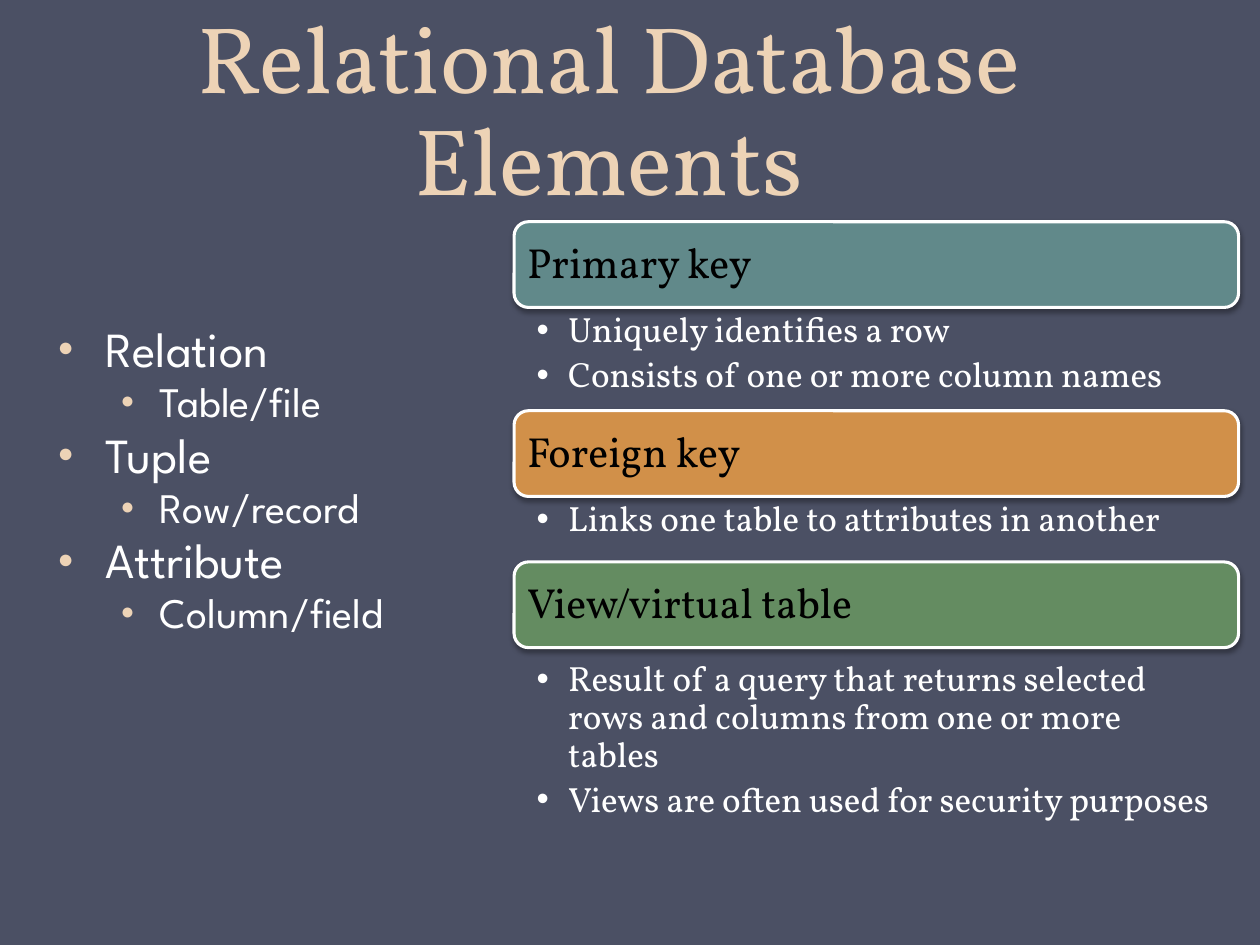
from lxml import etree
from pptx import Presentation
from pptx.dml.color import RGBColor
from pptx.enum.shapes import MSO_SHAPE
from pptx.enum.text import MSO_ANCHOR, PP_ALIGN
from pptx.oxml import parse_xml
from pptx.oxml.ns import nsdecls, qn
from pptx.util import Inches, Pt

ROUNDED = MSO_SHAPE.ROUNDED_RECTANGLE
TOP, MIDDLE, BOTTOM = MSO_ANCHOR.TOP, MSO_ANCHOR.MIDDLE, MSO_ANCHOR.BOTTOM
LEFT, CENTER = PP_ALIGN.LEFT, PP_ALIGN.CENTER

SLATE = RGBColor(0x4B, 0x50, 0x64)
SAND = RGBColor(0xED, 0xD3, 0xB6)
WHITE = RGBColor(0xFF, 0xFF, 0xFF)
BLACK = RGBColor(0x00, 0x00, 0x00)
TEAL = RGBColor(0x61, 0x89, 0x8A)
ORANGE = RGBColor(0xD1, 0x90, 0x49)
GREEN = RGBColor(0x64, 0x8C, 0x61)

SERIF = "Vollkorn"
SANS = "League Spartan"

TERMS = [
    ("Relation", "Table/file"),
    ("Tuple", "Row/record"),
    ("Attribute", "Column/field"),
]
KEYS = [
    ("Primary key", TEAL, 1.76, 2.45, 0.81,
     ["Uniquely identifies a row", "Consists of one or more column names"]),
    ("Foreign key", ORANGE, 3.26, 3.95, 0.81,
     ["Links one table to attributes in another"]),
    ("View/virtual table", GREEN, 4.46, 5.22, 1.83,
     ["Result of a query that returns selected rows and columns from one or more tables",
      "Views are often used for security purposes"]),
]


def set_frame(frame, anchor, margins):
    """Wrap a text frame, anchor it and set its four margins in inches."""
    frame.word_wrap = True
    frame.vertical_anchor = anchor
    (frame.margin_left, frame.margin_top,
     frame.margin_right, frame.margin_bottom) = map(Inches, margins)


def add_frame(slide, left, top, width, height, anchor, margins):
    """Add a text box and return its frame."""
    box = slide.shapes.add_textbox(*map(Inches, (left, top, width, height)))
    set_frame(box.text_frame, anchor, margins)
    return box.text_frame


def add_line(frame, index, text, font, size, color, align=LEFT):
    """Write one paragraph of a single run."""
    line = frame.paragraphs[0] if index == 0 else frame.add_paragraph()
    line.alignment = align
    run = line.add_run()
    run.text = text
    run.font.name = font
    run.font.size = Pt(size)
    run.font.color.rgb = color
    return line


def add_bullet(line, char, indent, hanging, color, percent):
    """Give a paragraph a hanging bullet."""
    properties = line._p.get_or_add_pPr()
    properties.set("marL", str(Inches(indent)))
    properties.set("indent", str(-Inches(hanging)))
    bullet_color = etree.SubElement(properties, qn("a:buClr"))
    etree.SubElement(bullet_color, qn("a:srgbClr"), val=str(color))
    etree.SubElement(properties, qn("a:buSzPct"), val=str(percent * 1000))
    etree.SubElement(properties, qn("a:buFont"), typeface="Arial")
    etree.SubElement(properties, qn("a:buChar"), char=char)


def add_title(slide, left, top, width, height):
    """Place the centred heading."""
    frame = add_frame(slide, left, top, width, height, BOTTOM, (0.1, 0.05, 0.1, 0.05))
    line = add_line(frame, 0, "Relational Database Elements", SERIF, 54, SAND, CENTER)
    line.line_spacing = Pt(58)


def add_terms(slide, left, top, width, height):
    """Place the two-level list of relational terms."""
    frame = add_frame(slide, left, top, width, height, TOP, (0.1, 0.05, 0.1, 0.05))
    levels = [(28, 0.38, 0.38), (24, 0.81, 0.31)]
    for row, pair in enumerate(TERMS):
        for level, text in enumerate(pair):
            size, indent, hanging = levels[level]
            index = 2 * row + level
            line = add_line(frame, index, text, SANS, size, WHITE)
            add_bullet(line, "●", indent, hanging, SAND, 55)
            line.level = level
            line.line_spacing = 0.8
            if index:
                line.space_before = Pt(size * 0.2)


def add_bar(slide, left, top, width, height, name, color):
    """Place a shadowed rounded bar with its name."""
    bar = slide.shapes.add_shape(ROUNDED, *map(Inches, (left, top, width, height)))
    bar.fill.solid()
    bar.fill.fore_color.rgb = color
    bar.line.color.rgb = WHITE
    bar.line.width = Pt(1.75)
    bar._element.spPr.append(parse_xml(
        f'<a:effectLst {nsdecls("a")}>'
        f'<a:outerShdw blurRad="{Pt(3.1)}" dist="{Pt(1.8)}" dir="5400000" rotWithShape="0">'
        '<a:srgbClr val="000000"><a:alpha val="35000"/></a:srgbClr>'
        '</a:outerShdw></a:effectLst>'))
    set_frame(bar.text_frame, MIDDLE, (0.07, 0.07, 0.07, 0.07))
    line = add_line(bar.text_frame, 0, name, SERIF, 24, BLACK)
    line.line_spacing = 0.9


def add_details(slide, left, top, width, height, details):
    """Place the bulleted details under a bar."""
    frame = add_frame(slide, left, top, width, height, TOP, (0.18, 0.03, 0.16, 0.03))
    for index, detail in enumerate(details):
        line = add_line(frame, index, detail, SERIF, 20, WHITE)
        add_bullet(line, "•", 0.25, 0.25, WHITE, 100)
        line.level = 1
        line.line_spacing = 0.9
        line.space_after = Pt(4)


def add_keys(slide, left, width, bar_height):
    """Place the column of bars and their details."""
    for name, color, bar_top, details_top, details_height, details in KEYS:
        add_bar(slide, left, bar_top, width, bar_height, name, color)
        add_details(slide, left, details_top, width, details_height, details)


def main():
    """Build and save the slide."""
    deck = Presentation()
    deck.slide_width, deck.slide_height = Inches(10), Inches(7.5)
    slide = deck.slides.add_slide(deck.slide_layouts[6])
    slide.background.fill.solid()
    slide.background.fill.fore_color.rgb = SLATE
    add_title(slide, 0.33, 0, 9, 1.75)
    add_terms(slide, 0.36, 2.57, 4.08, 2.56)
    add_keys(slide, 4.08, 5.75, 0.68)
    deck.save("out.pptx")


if __name__ == "__main__":
    main()
